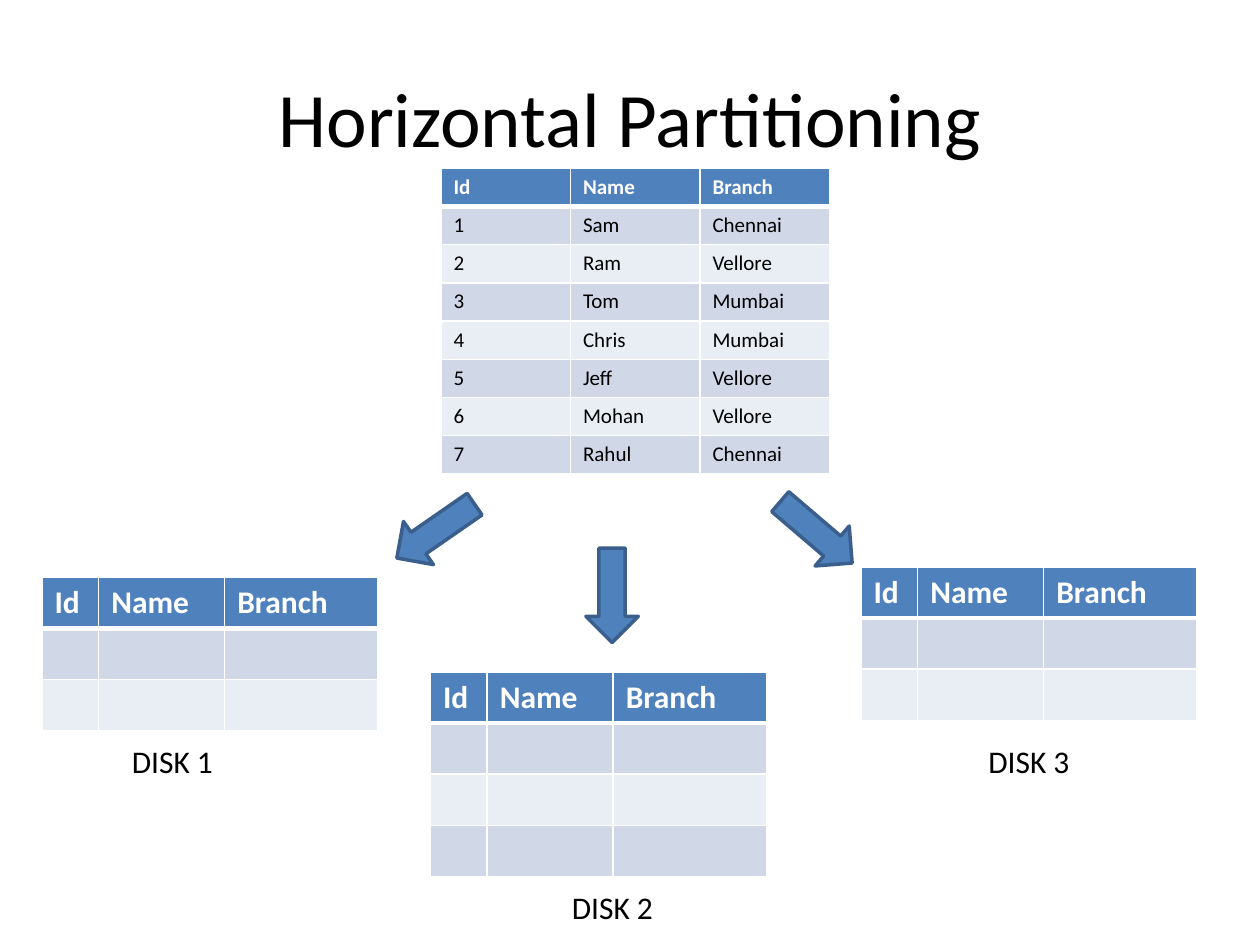
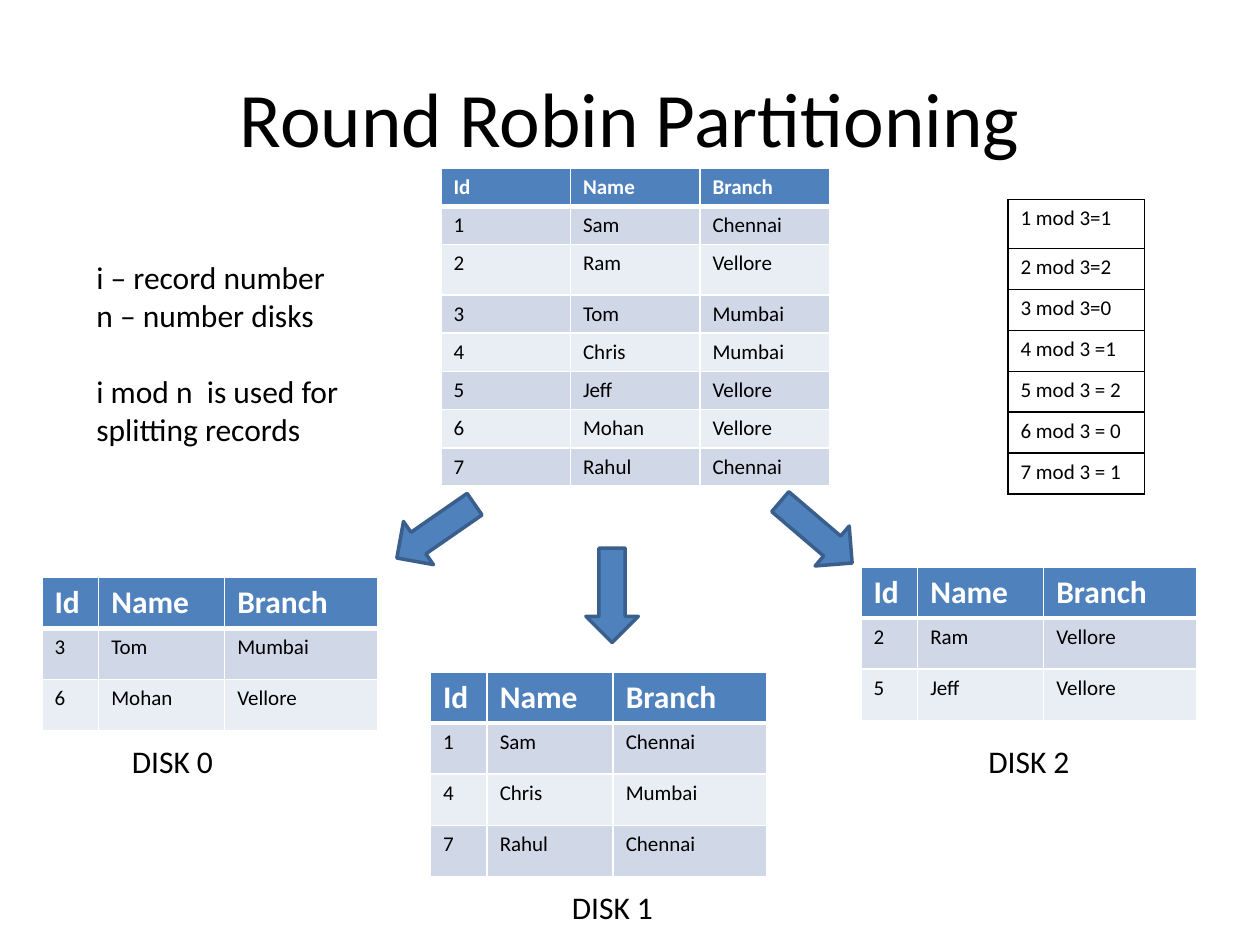
"""Build two slides on splitting a table's records over three disks."""
from lxml import etree
from pptx import Presentation
from pptx.dml.color import RGBColor
from pptx.enum import shapes, text
from pptx.oxml import ns
from pptx.util import Pt

FONT = "Calibri"
BLUE, EDGE, BANDS = "4F81BD", "3A5F8C", ("D0D8E8", "E9EDF4")
BLACK, WHITE = "000000", "FFFFFF"
HEADER = ("Id", "Name", "Branch")
RECORDS = [
    ("1", "Sam", "Chennai"),
    ("2", "Ram", "Vellore"),
    ("3", "Tom", "Mumbai"),
    ("4", "Chris", "Mumbai"),
    ("5", "Jeff", "Vellore"),
    ("6", "Mohan", "Vellore"),
    ("7", "Rahul", "Chennai"),
]
REMAINDERS = ["1 mod 3=1", "2 mod 3=2", "3 mod 3=0", "4 mod 3 =1",
              "5 mod 3 = 2", "6 mod 3 = 0", "7 mod 3 = 1"]
NOTES = ["i – record number", "n – number disks",
         "i mod n  is used for splitting records"]
DISK_TABLES = [(24, 330), (246, 384), (492, 324)]
DISK_LABELS = [(26.6, 420.5), (278, 504), (516, 420.5)]
ARROWS = [(234, 276.5, 55.3), (451.4, 277.2, 310.5), (334.8, 313.2, 0)]
DISK_COLS, DISK_ROW = (32.4, 72, 87.6), 29.2
RECORD_ROW = 21.8


def rgb(color):
    return RGBColor.from_string(color)


def style(p, size, color=BLACK, bold=False):
    p.font.name, p.font.size, p.font.bold = FONT, Pt(size), bold
    p.font.color.rgb = rgb(color)


def fill(sp, color):
    sp.fill.solid()
    sp.fill.fore_color.rgb = rgb(color)


def set_borders(cell, color, bottom=1):
    tc_pr = cell._tc.get_or_add_tcPr()
    for i, (side, width) in enumerate(zip("LRTB", (1, 1, 1, bottom))):
        line = etree.Element(ns.qn(f"a:ln{side}"), w=str(Pt(width)))
        solid = etree.SubElement(line, ns.qn("a:solidFill"))
        etree.SubElement(solid, ns.qn("a:srgbClr"), val=color)
        tc_pr.insert(i, line)


def add_grid(s, left, top, cols, heights):
    frame = s.shapes.add_table(len(heights), len(cols), Pt(left), Pt(top),
                               Pt(sum(cols)), Pt(sum(heights)))
    table = frame.table
    for col, width in zip(table.columns, cols):
        col.width = Pt(width)
    for row, height in zip(table.rows, heights):
        row.height = Pt(height)
    return table


def add_record_table(s, left, top, cols, heights, records, header_size):
    table = add_grid(s, left, top, cols, heights)
    for r, values in enumerate([HEADER, *records]):
        for c, value in enumerate(values):
            cell = table.cell(r, c)
            cell.text = value
            p = cell.text_frame.paragraphs[0]
            if r == 0:
                style(p, header_size, WHITE, True)
                fill(cell, BLUE)
                set_borders(cell, WHITE, 3)
            else:
                style(p, 12 if value else 18)
                fill(cell, BANDS[(r - 1) % 2])
                set_borders(cell, WHITE)


def add_remainder_table(s):
    table = add_grid(s, 576, 114, [78], [28] + [23.4] * 6)
    table.first_row = table.horz_banding = False
    for r, value in enumerate(REMAINDERS):
        cell = table.cell(r, 0)
        cell.text = value
        style(cell.text_frame.paragraphs[0], 12)
        cell.fill.background()
        set_borders(cell, BLACK)


def add_text(s, left, top, width, height, lines, align=text.PP_ALIGN.LEFT):
    tf = s.shapes.add_textbox(Pt(left), Pt(top), Pt(width), Pt(height)).text_frame
    tf.word_wrap = True
    tf.auto_size = text.MSO_AUTO_SIZE.SHAPE_TO_FIT_TEXT
    tf.text = "\n".join(lines)
    for p in tf.paragraphs:
        p.alignment = align
        style(p, 18)
    return tf


def add_arrow(s, left, top, rotation):
    sp = s.shapes.add_shape(shapes.MSO_SHAPE.DOWN_ARROW,
                            Pt(left), Pt(top), Pt(30), Pt(54))
    sp.rotation = rotation
    sp.shadow.inherit = False
    fill(sp, BLUE)
    sp.line.color.rgb = rgb(EDGE)
    sp.line.width = Pt(2)


def add_partition_slide(prs, title, record_heights, disks, first_disk):
    s = prs.slides.add_slide(prs.slide_layouts[5])
    sp = s.shapes.title
    sp.left, sp.top, sp.width, sp.height = Pt(36), Pt(21.6), Pt(648), Pt(90)
    sp.text_frame.text = title
    sp.text_frame.vertical_anchor = text.MSO_ANCHOR.MIDDLE
    p = sp.text_frame.paragraphs[0]
    p.alignment = text.PP_ALIGN.CENTER
    style(p, 44)
    for (left, top), records in zip(DISK_TABLES, disks):
        heights = [DISK_ROW] * (len(records) + 1)
        add_record_table(s, left, top, DISK_COLS, heights, records, 18)
    add_record_table(s, 252, 96, [74] * 3, record_heights, RECORDS, 12)
    for arrow in ARROWS:
        add_arrow(s, *arrow)
    for number, (left, top) in enumerate(DISK_LABELS, first_disk):
        add_text(s, left, top, 144, 29.2, [f"DISK {number}"], text.PP_ALIGN.CENTER)
    return s


def main():
    prs = Presentation()
    prs.slide_width, prs.slide_height = Pt(720), Pt(540)

    heights = [RECORD_ROW] * 8
    empty_disks = [[("", "", "")] * n for n in (2, 3, 2)]
    add_partition_slide(prs, "Horizontal Partitioning", heights, empty_disks, 1)

    heights[2] = 28.8
    disks = [[rec for rec in RECORDS if int(rec[0]) % 3 == d] for d in range(3)]
    s = add_partition_slide(prs, "Round Robin Partitioning", heights, disks, 0)
    tf = add_text(s, 48, 144, 156, 138, NOTES)
    tf.paragraphs[2].space_before = Pt(22)
    add_remainder_table(s)

    prs.save("out.pptx")


if __name__ == "__main__":
    main()
